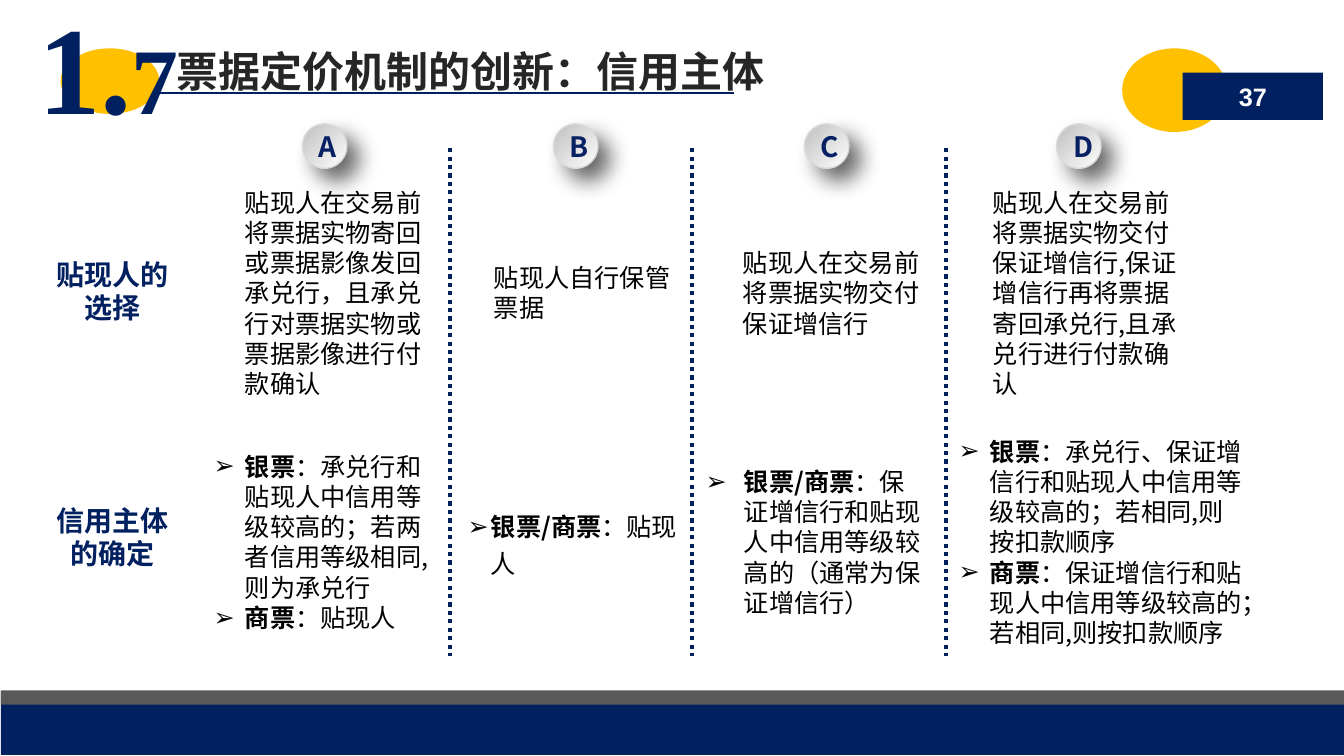
from lxml import etree
from pptx import Presentation
from pptx.dml.color import RGBColor
from pptx.enum.dml import MSO_LINE_DASH_STYLE as Dash
from pptx.enum.shapes import MSO_CONNECTOR, MSO_SHAPE as Shape
from pptx.enum.text import MSO_ANCHOR as Anchor, PP_ALIGN as Align
from pptx.oxml.ns import qn
from pptx.util import Pt

EMU_PER_PX = 9144  # 100 px to the inch
NAVY = RGBColor(0x00, 0x20, 0x60)
LETTER_NAVY = RGBColor(0x07, 0x20, 0x63)
GOLD = RGBColor(0xFF, 0xC0, 0x00)
GREY = RGBColor(0x59, 0x59, 0x59)
SILVER = RGBColor(0xBF, 0xBF, 0xBF)
RIM = RGBColor(0xD9, 0xD9, 0xD9)
TITLE_INK = RGBColor(0x26, 0x26, 0x26)
BLACK = RGBColor(0, 0, 0)
WHITE = RGBColor(0xFF, 0xFF, 0xFF)
SANS, SERIF, LATIN = "Noto Sans CJK SC", "Times New Roman", "Arial"

TITLE = "票据定价机制的创新：信用主体"
SECTION = [("1.", 89), ("7", 67)]
PAGE = "37"
ROW_LABELS = [("贴现人的选择", 245), ("信用主体的确定", 489)]
CHOICES = [
    "贴现人在交易前将票据实物寄回或票据影像发回承兑行，且承兑行对票据实物或票据影像进行付款确认",
    "贴现人自行保管票据",
    "贴现人在交易前将票据实物交付保证增信行",
    "贴现人在交易前将票据实物交付保证增信行,保证增信行再将票据寄回承兑行,且承兑行进行付款确认",
]
# left, width, bullet indent, line spacing, [(instrument, credit subject)]
SUBJECTS = [
    (202, 240, 31, 1.0, [
        ("银票", "：承兑行和贴现人中信用等级较高的；若两者信用等级相同,则为承兑行"),
        ("商票", "：贴现人")]),
    (454, 240, 23, 1.2, [("银票/商票", "：贴现人")]),
    (690, 240, 38, 1.0, [
        ("银票/商票", "：保证增信行和贴现人中信用等级较高的（通常为保证增信行）")]),
    (941, 302, 31, 1.0, [
        ("银票", "：承兑行、保证增信行和贴现人中信用等级较高的；若相同,则按扣款顺序"),
        ("商票", "：保证增信行和贴现人中信用等级较高的；若相同,则按扣款顺序")]),
]
BARS = [((1, 686, 1332, 63), NAVY), ((1, 685, 1332, 14), GREY)]
DIVIDERS = [446, 686, 938]
BODY = dict(size=Pt(18), name=SANS, color=BLACK, bold=False)
LABEL = dict(size=Pt(20), name=SANS, color=NAVY, bold=True)


def px(*lengths):
    return [length * EMU_PER_PX for length in lengths]


def add_run(paragraph, text, style):
    run = paragraph.add_run()
    run.text = text
    for key, value in style.items():
        if key == "color":
            run.font.color.rgb = value
        else:
            setattr(run.font, key, value)
    east_asian = etree.SubElement(run.font._element, qn("a:ea"))
    east_asian.set("typeface", style["name"])


def set_frame(shape, anchor, insets=None):
    frame = shape.text_frame
    frame.word_wrap = True
    frame.vertical_anchor = anchor
    if insets:
        sides = ("left", "top", "right", "bottom")
        for side, inset in zip(sides, px(*insets)):
            setattr(frame, f"margin_{side}", inset)
    return frame.paragraphs[0]


def add_text(slide, box, runs, align=Align.LEFT, anchor=Anchor.MIDDLE, insets=None):
    paragraph = set_frame(slide.shapes.add_textbox(*px(*box)), anchor, insets)
    paragraph.alignment = align
    for text, style in runs:
        add_run(paragraph, text, style)


def add_solid(slide, kind, box, color):
    shape = slide.shapes.add_shape(kind, *px(*box))
    shape.shadow.inherit = False
    shape.fill.solid()
    shape.fill.fore_color.rgb = color
    shape.line.fill.background()
    return shape


def add_line(slide, ends, width, dash=None):
    line = slide.shapes.add_connector(MSO_CONNECTOR.STRAIGHT, *px(*ends))
    line.line.color.rgb = NAVY
    line.line.width = Pt(width)
    if dash:
        line.line.dash_style = dash
    etree.SubElement(line.element.spPr, qn("a:effectLst"))
    return line


def add_badge(slide, left, letter):
    """Add a shaded, shadowed disc that carries a column letter."""
    badge = add_solid(slide, Shape.OVAL, (left, 123, 44, 44), WHITE)
    badge.fill.gradient()
    badge.fill.gradient_angle = 135
    for stop, color in zip(badge.fill.gradient_stops, (WHITE, SILVER)):
        stop.color.rgb = color
    badge.line.color.rgb = RIM
    badge.line.width = Pt(1)
    effects = badge.element.spPr.find(qn("a:effectLst"))
    shadow = etree.SubElement(effects, qn("a:outerShdw"), blurRad=str(Pt(16)),
                              dist=str(Pt(12)), dir=str(45 * 60000),
                              algn="tl", rotWithShape="0")
    color = etree.SubElement(shadow, qn("a:srgbClr"), val=str(BLACK))
    etree.SubElement(color, qn("a:alpha"), val="60000")
    paragraph = set_frame(badge, Anchor.MIDDLE)
    paragraph.alignment = Align.CENTER
    add_run(paragraph, letter, {**LABEL, "color": LETTER_NAVY})


def add_bullets(slide, box, indent, spacing, items):
    textbox = slide.shapes.add_textbox(*px(*box))
    paragraph = set_frame(textbox, Anchor.MIDDLE)
    for index, (instrument, subject) in enumerate(items):
        if index:
            paragraph = textbox.text_frame.add_paragraph()
        properties = paragraph._p.get_or_add_pPr()
        properties.set("marL", str(indent * EMU_PER_PX))
        properties.set("indent", str(-indent * EMU_PER_PX))
        etree.SubElement(properties, qn("a:buFont"), typeface=LATIN)
        etree.SubElement(properties, qn("a:buChar"), char="➢")
        paragraph.line_spacing = spacing
        add_run(paragraph, instrument, {**BODY, "bold": True})
        add_run(paragraph, subject, BODY)


def add_header(slide):
    add_solid(slide, Shape.OVAL, (60, 48, 98, 65), GOLD)
    underline = add_line(slide, (158, 92, 728, 92), 1.5)
    title = slide.shapes.title
    title.left, title.top, title.width, title.height = px(165, 40, 722, 61)
    paragraph = set_frame(title, Anchor.TOP)
    paragraph.alignment = Align.LEFT
    add_run(paragraph, TITLE, dict(size=Pt(30), name=SANS, color=TITLE_INK, bold=True))
    underline.element.addnext(title.element)

    add_solid(slide, Shape.OVAL, (1113, 48, 104, 83), GOLD)
    page_box = add_solid(slide, Shape.RECTANGLE, (1173, 72, 139, 47), NAVY)
    paragraph = set_frame(page_box, Anchor.MIDDLE, (12, 6, 12, 6))
    paragraph.alignment = Align.CENTER
    add_run(paragraph, PAGE, dict(size=Pt(18), name=LATIN, color=WHITE, bold=True))

    numerals = [(text, dict(size=Pt(size), name=SERIF, color=NAVY, bold=True))
                for text, size in SECTION]
    add_text(slide, (26, -16, 310, 162), numerals, anchor=Anchor.TOP,
             insets=(12, 6, 12, 6))


def main():
    presentation = Presentation()
    presentation.slide_width, presentation.slide_height = px(1333, 750)
    slide = presentation.slides.add_slide(presentation.slide_layouts[5])
    for box, color in BARS:
        add_solid(slide, Shape.RECTANGLE, box, color)
    add_header(slide)
    for label, top in ROW_LABELS:
        add_text(slide, (41, top, 142, 87), [(label, LABEL)], Align.CENTER)
    for column, (choice, subject) in enumerate(zip(CHOICES, SUBJECTS)):
        left, width, indent, spacing, items = subject
        add_text(slide, (233 + 742 * column // 3, 202, 217, 177), [(choice, BODY)])
        add_bullets(slide, (left, 449, width, 177), indent, spacing, items)
        add_badge(slide, 300 + 748 * column // 3, "ABCD"[column])
    for x in DIVIDERS:
        add_line(slide, (x, 147, x, 651), 3, Dash.ROUND_DOT)
    presentation.save("out.pptx")


if __name__ == "__main__":
    main()
